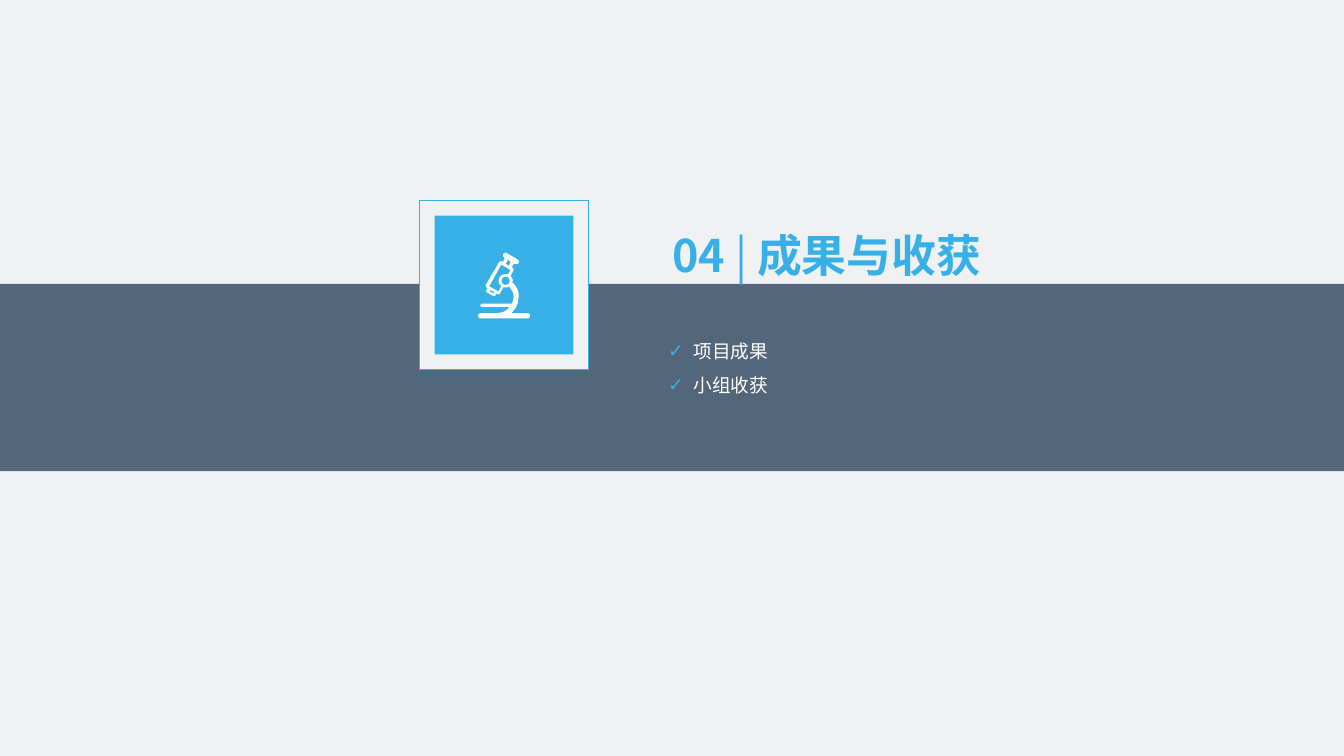
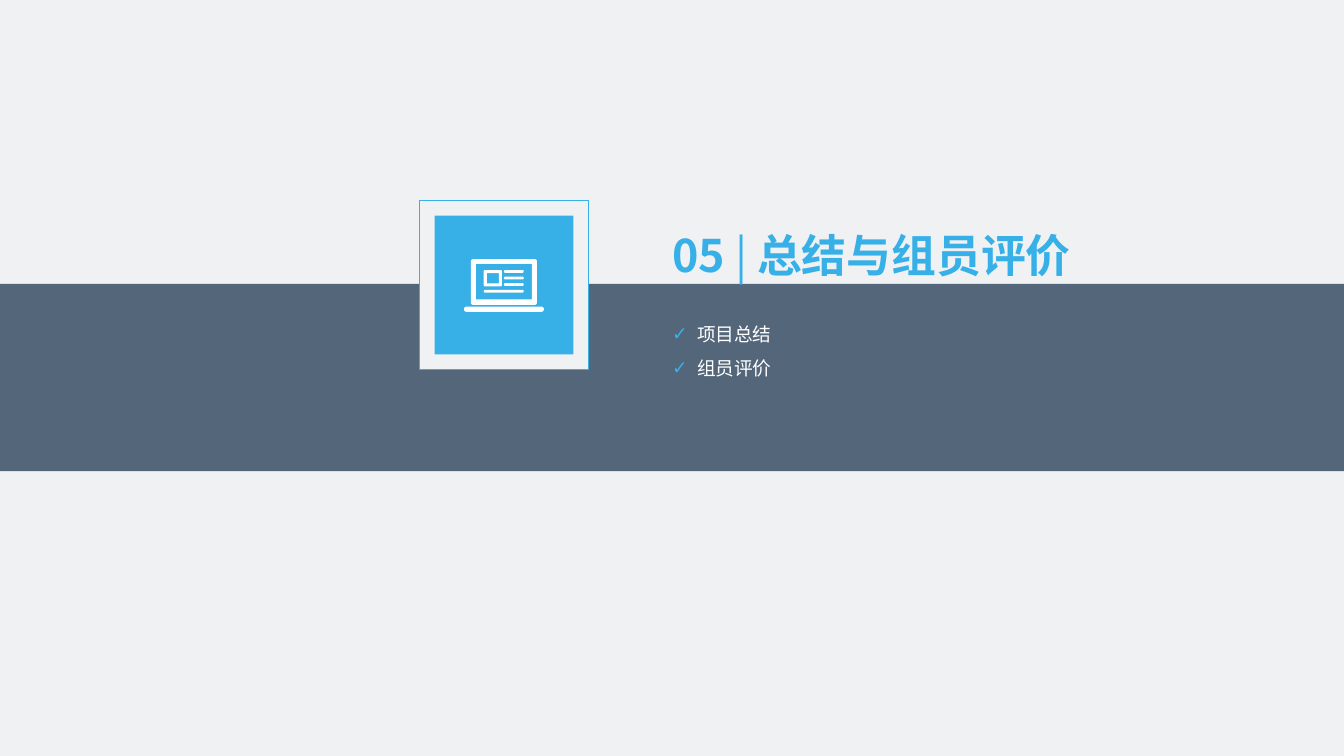
from dataclasses import dataclass
from math import cos, pi, sin

from lxml.etree import SubElement
from pptx import Presentation
from pptx.dml.color import RGBColor
from pptx.enum.shapes import MSO_SHAPE
from pptx.enum.text import MSO_ANCHOR, MSO_AUTO_SIZE, PP_ALIGN
from pptx.oxml.ns import qn
from pptx.shapes.autoshape import Shape
from pptx.slide import Slide
from pptx.text.text import TextFrame, _Paragraph
from pptx.util import Pt

PAPER = RGBColor(0xF0, 0xF1, 0xF3)
SLATE = RGBColor(0x54, 0x66, 0x7A)
SKY = RGBColor(0x37, 0xB0, 0xE8)
WHITE = RGBColor(0xFF, 0xFF, 0xFF)

CJK_FONT = "Noto Sans CJK SC"
LATIN_FONT = "Roboto Condensed"

SLIDE_W, SLIDE_H = 720, 405
BADGE_X, BADGE_Y = 270, 152.7
TEXT_X = 360
INDENT = 13.5

Point = tuple[float, float]
Contour = list[Point]


@dataclass(frozen=True)
class Box:
    left: float
    top: float
    width: float
    height: float


@dataclass(frozen=True)
class Section:
    number: str
    title: str
    title_width: float
    items: list[str]
    items_box: Box
    icon: list[Contour]


def arc(cx: float, cy: float, radius: float, start: float, sweep: float, steps: int) -> Contour:
    angles = [start + sweep * i / steps for i in range(steps + 1)]
    return [(cx + radius * cos(a), cy + radius * sin(a)) for a in angles]


def rounded(box: Box, radius: float = 0) -> Contour:
    right, bottom = box.left + box.width, box.top + box.height
    corners = [
        (right - radius, bottom - radius),
        (box.left + radius, bottom - radius),
        (box.left + radius, box.top + radius),
        (right - radius, box.top + radius),
    ]
    steps = 6 if radius else 1
    return [pt for i, (x, y) in enumerate(corners) for pt in arc(x, y, radius, i * pi / 2, pi / 2, steps)]


def laptop() -> list[Contour]:
    lines = [rounded(Box(270, 144.7 + 3.5 * i, 10.6, 1.5), 0.7) for i in range(3)]
    return [
        rounded(Box(252.3, 138.8, 35.4, 24.6), 1.3),
        rounded(Box(255, 141.4, 30, 19)),
        rounded(Box(248.6, 164.3, 42.8, 2.8), 1.4),
        rounded(Box(259.2, 144.7, 9.7, 8.7), 0.6),
        rounded(Box(260.8, 146.3, 6.5, 5.5)),
        *lines,
        rounded(Box(259.2, 155.3, 21.4, 1.5), 0.7),
    ]


def microscope() -> list[Contour]:
    outline = [
        (274.3, 151.2), (276, 152.9), (277.2, 154.8), (277.8, 156.9), (277.9, 159.1),
        (277.4, 162.4), (276.3, 165), (274.6, 167.2), (273.6, 167.8),
        (283, 167.8), (283.8, 168.3), (284, 169.2), (283.8, 170.1), (283, 170.6),
        (257.4, 170.6), (256.4, 170.1), (256.1, 169.2), (256.4, 168.3), (257.4, 167.8),
        (266.4, 167.8), (269.5, 167.2), (272, 165.7), (272.9, 164.5),
        (258, 164.5), (257.2, 163.6), (258, 162.7), (274.2, 162.7),
        (274.9, 161), (275.2, 159.1), (275, 157.5), (274.5, 156), (272.9, 153.5),
        (271.2, 154.1), (269.8, 153.8), (267.8, 157.2), (267.3, 157.6), (266.6, 157.7),
        (266, 157.4), (265.2, 158.5), (264.3, 158.6), (260.7, 156.6), (260.4, 155.6),
        (261.2, 154.4), (260.5, 153.9), (260.2, 152.8), (267.5, 140.3), (268.7, 139.9),
        (269.5, 140.3), (270.5, 138.4), (269.7, 137.6), (269.4, 136.3), (270.1, 135.5),
        (271.1, 135.4), (277.5, 139.1), (278.1, 139.9), (278, 140.8), (277.3, 141.5),
        (276.3, 141.6), (275.3, 141.2), (274.2, 143.1), (275, 143.6), (275.2, 144.7),
        (273.5, 147.8), (274.4, 149), (274.8, 150.3),
    ]
    eyepiece = [(273.6, 140.4), (272.2, 139.2), (270.9, 141.3), (272.7, 142.4)]
    tube = [
        (272.2, 146.9), (273.6, 144.7), (268.6, 141.8), (262.1, 153.4),
        (267.1, 156.2), (268.6, 153.4), (267.4, 152), (267.1, 150.5),
        (267.5, 148.9), (268.6, 147.6), (270.2, 146.8),
    ]
    tip = [(262.8, 155.4), (262.2, 156.1), (264.5, 157.2), (264.9, 156.5)]
    lens = arc(BADGE_X + 0.9, 150.4, 2.2, 0, 2 * pi, 24)
    return [outline, eyepiece, tube, lens, tip]


def add_rect(s: Slide, box: Box, fill: RGBColor, line: RGBColor | None = None) -> None:
    sp = s.shapes.add_shape(
        MSO_SHAPE.RECTANGLE, Pt(box.left), Pt(box.top), Pt(box.width), Pt(box.height)
    )
    paint(sp, fill)
    if line is not None:
        sp.line.color.rgb = line
        sp.line.width = Pt(0.5)


def paint(sp: Shape, fill: RGBColor) -> None:
    sp.shadow.inherit = False
    sp.fill.solid()
    sp.fill.fore_color.rgb = fill
    sp.line.fill.background()


def add_square(s: Slide, side: float, fill: RGBColor, line: RGBColor | None = None) -> None:
    add_rect(s, Box(BADGE_X - side / 2, BADGE_Y - side / 2, side, side), fill, line)


def add_icon(s: Slide, contours: list[Contour]) -> None:
    paths = [[(Pt(x), Pt(y)) for x, y in contour] for contour in contours]
    builder = s.shapes.build_freeform(*paths[0][0], scale=1.0)
    builder.add_line_segments(paths[0][1:])
    for points in paths[1:]:
        builder.move_to(*points[0])
        builder.add_line_segments(points[1:])
    paint(builder.convert_to_shape(), WHITE)


def place_text(s: Slide, sp: Shape, box: Box) -> TextFrame:
    s.shapes.element.append(sp.element)
    sp.left, sp.top, sp.width, sp.height = Pt(box.left), Pt(box.top), Pt(box.width), Pt(box.height)
    tf = sp.text_frame
    tf.margin_left = tf.margin_top = tf.margin_right = tf.margin_bottom = 0
    tf.word_wrap = True
    tf.auto_size = MSO_AUTO_SIZE.SHAPE_TO_FIT_TEXT
    tf.vertical_anchor = MSO_ANCHOR.TOP
    return tf


def format_paragraph(p: _Paragraph) -> None:
    p.alignment = PP_ALIGN.LEFT
    p.line_spacing = 1.5
    p.space_before = p.space_after = Pt(0)


def add_run(p: _Paragraph, text: str, size: float, font: str, color: RGBColor, bold: bool = False) -> None:
    r = p.add_run()
    r.text = text
    r.font.size = Pt(size)
    r.font.name = font
    r.font.bold = bold
    r.font.color.rgb = color
    SubElement(r.font._element, qn("a:ea")).set("typeface", CJK_FONT)


def add_check(p: _Paragraph) -> None:
    pPr = p._p.get_or_add_pPr()
    pPr.set("marL", str(Pt(INDENT)))
    pPr.set("indent", str(-Pt(INDENT)))
    color = SubElement(SubElement(pPr, qn("a:buClr")), qn("a:srgbClr"))
    color.set("val", str(SKY))
    SubElement(pPr, qn("a:buChar")).set("char", "✓")


def add_section(prs: Presentation, section: Section) -> None:
    s = prs.slides.add_slide(prs.slide_layouts[1])
    add_rect(s, Box(0, 152.1, SLIDE_W, 100.4), SLATE)
    add_square(s, 90.5, PAPER, SKY)
    add_square(s, 74.4, SKY)

    tf = place_text(s, s.placeholders[1], section.items_box)
    for i, item in enumerate(section.items):
        p = tf.paragraphs[0] if i == 0 else tf.add_paragraph()
        format_paragraph(p)
        add_check(p)
        add_run(p, item, 10, LATIN_FONT, WHITE)

    tf = place_text(s, s.shapes.title, Box(TEXT_X, 107.5, section.title_width, 44))
    p = tf.paragraphs[0]
    format_paragraph(p)
    for text, bold in [(f"{section.number} ", True), ("| ", False), (section.title, True)]:
        add_run(p, text, 24, CJK_FONT, SKY, bold)

    add_icon(s, section.icon)


def main() -> None:
    prs = Presentation()
    prs.slide_width, prs.slide_height = Pt(SLIDE_W), Pt(SLIDE_H)
    background = prs.slide_master.background.fill
    background.solid()
    background.fore_color.rgb = PAPER

    sections = [
        Section("04", "成果与收获", 187, ["项目成果", "小组收获"], Box(358, 176.3, 112.5, 34), microscope()),
        Section("05", "总结与组员评价", 227, ["项目总结", "组员评价"], Box(TEXT_X, 167.2, 112.5, 34), laptop()),
    ]
    for section in sections:
        add_section(prs, section)
    prs.save("out.pptx")


if __name__ == "__main__":
    main()
